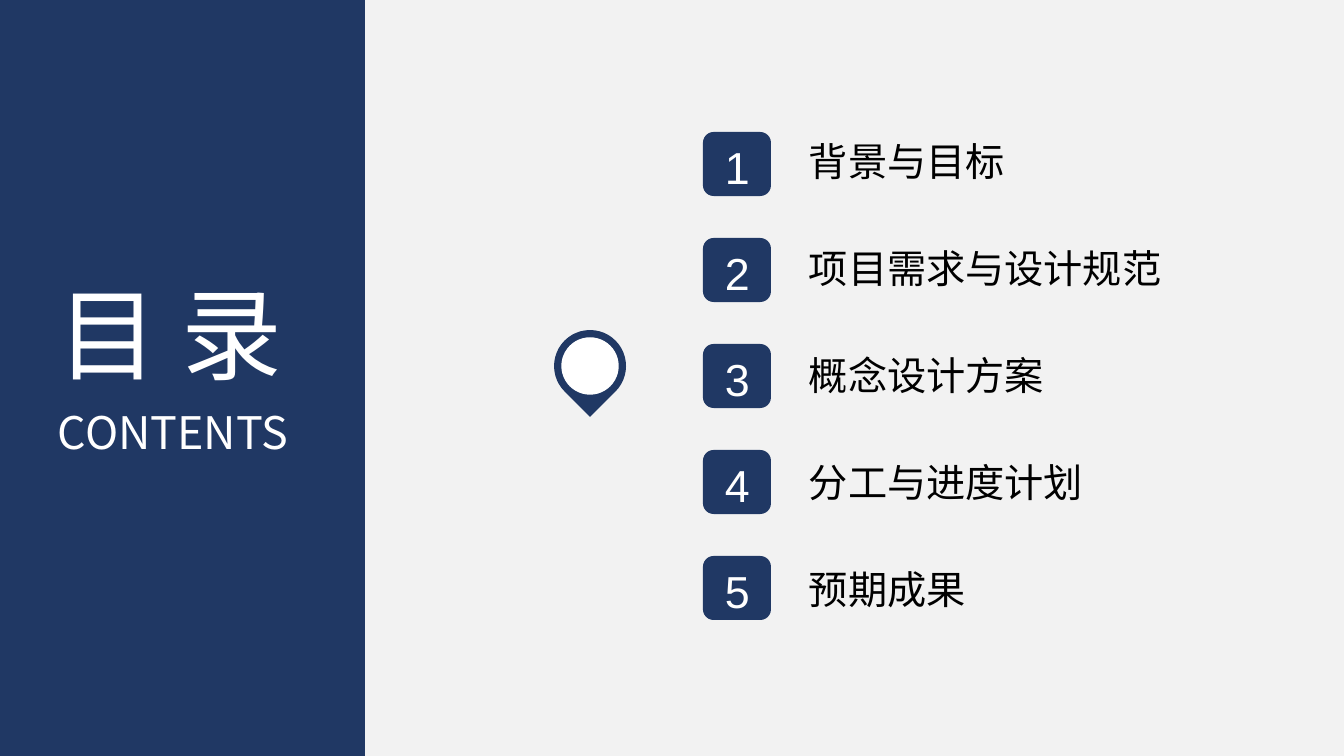
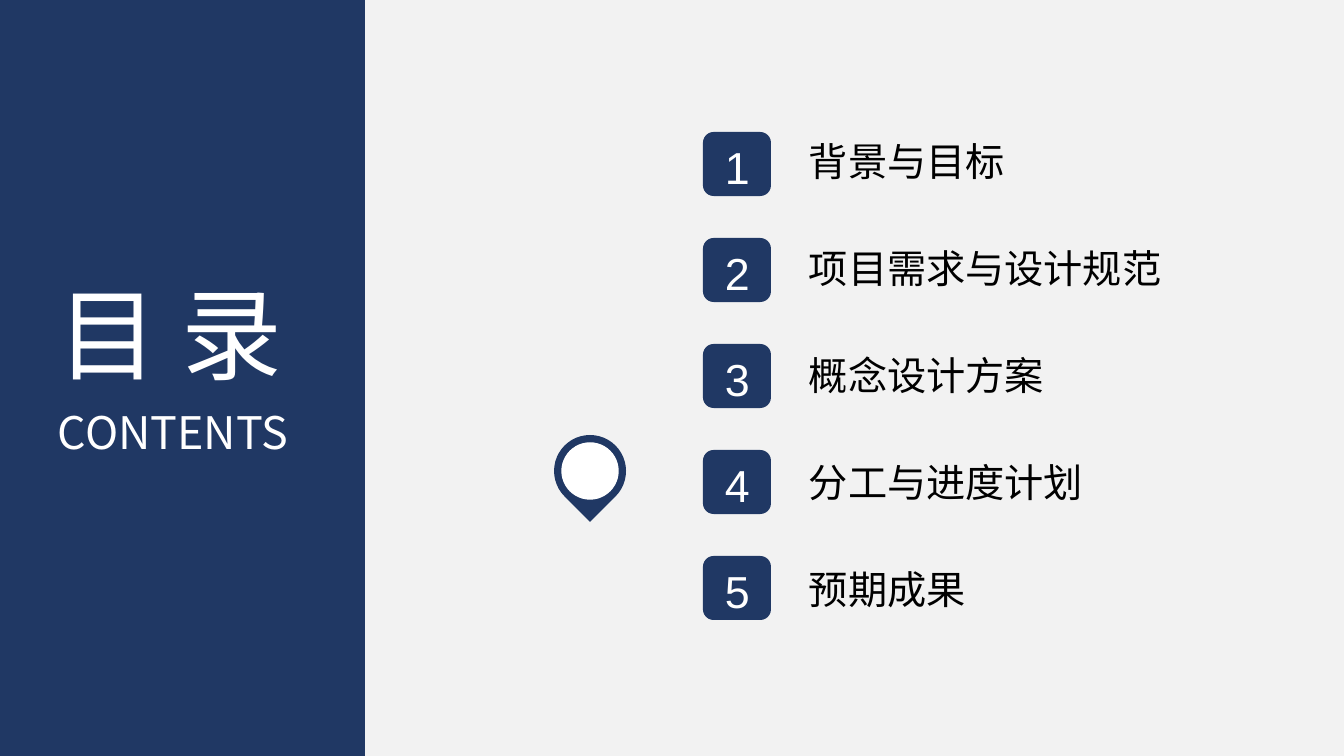
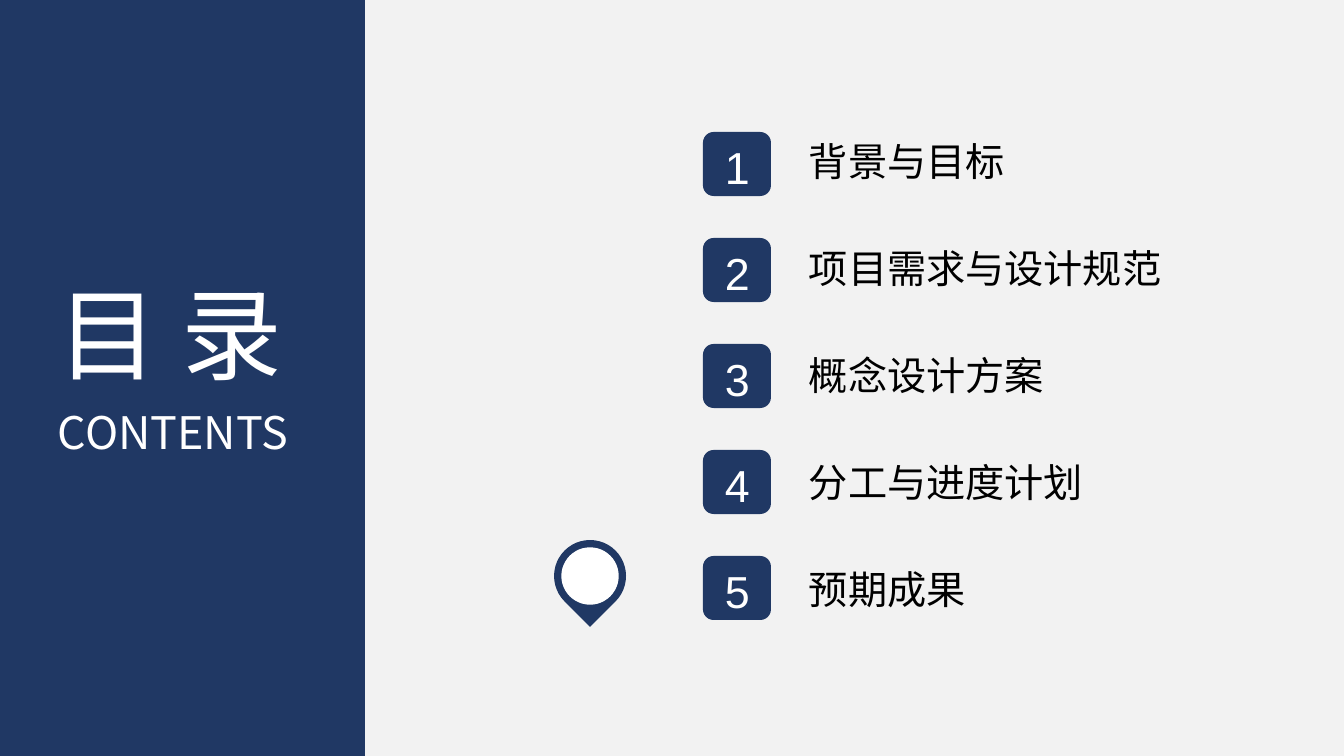
from dataclasses import dataclass

from lxml import etree
from pptx import Presentation
from pptx.dml.color import RGBColor
from pptx.enum.shapes import MSO_SHAPE
from pptx.enum.text import MSO_AUTO_SIZE, PP_ALIGN
from pptx.oxml.ns import qn
from pptx.util import Emu, Pt

RECT = MSO_SHAPE.RECTANGLE
ROUNDED = MSO_SHAPE.ROUNDED_RECTANGLE
TEARDROP = MSO_SHAPE.TEAR
OVAL = MSO_SHAPE.OVAL
JUSTIFY = PP_ALIGN.JUSTIFY
LEFT = PP_ALIGN.LEFT
FIT_SHAPE = MSO_AUTO_SIZE.SHAPE_TO_FIT_TEXT

SLIDE_W, SLIDE_H = 1344, 756
EMU_PER_PX = 12192000 / SLIDE_W

NAVY, WHITE, BLACK, PAPER = "203864", "FFFFFF", "000000", "F2F2F2"
CJK, LATIN = "Noto Sans CJK SC", "Arial"

CHAPTERS = ["背景与目标", "项目需求与设计规范", "概念设计方案", "分工与进度计划", "预期成果"]
CURRENT_CHAPTERS = [3, 4, 5]

BAND_W = 365
FIRST_ROW_TOP = 132
BADGE_PITCH, LABEL_PITCH, PIN_PITCH = 106, 107, 105
BADGE_LEFT, BADGE_W, BADGE_H = 703, 68, 64
LABEL_LEFT, LABEL_W, LABEL_H = 799, 500, 57
FIRST_PIN_TOP = 120
PIN_LEFT, PIN_SIZE, PIN_RIM = 554, 72, 8


@dataclass(frozen=True)
class Box:
    left: int
    top: int
    width: int
    height: int

    def emu(self) -> list[Emu]:
        return [px(n) for n in (self.left, self.top, self.width, self.height)]


@dataclass(frozen=True)
class TextStyle:
    size: int
    font: str
    color: str
    align: PP_ALIGN = LEFT


TITLE = TextStyle(72, CJK, WHITE, JUSTIFY)
SUBTITLE = TextStyle(32, CJK, WHITE, JUSTIFY)
NUMBER = TextStyle(32, LATIN, WHITE)
LABEL = TextStyle(28, CJK, BLACK)


def px(length: int) -> Emu:
    return Emu(round(length * EMU_PER_PX))


def rgb(color: str) -> RGBColor:
    return RGBColor.from_string(color)


def add_solid(shapes, kind, box: Box, fill: str, outline: str | None = None):
    """Add a flat preset shape, with a one-point outline if a colour is given."""
    solid = shapes.add_shape(kind, *box.emu())
    solid.shadow.inherit = False
    solid.fill.solid()
    solid.fill.fore_color.rgb = rgb(fill)
    if outline:
        solid.line.color.rgb = rgb(outline)
        solid.line.width = Pt(1)
    else:
        solid.line.fill.background()
    return solid


def add_text(shapes, box: Box, text: str, style: TextStyle) -> None:
    frame = shapes.add_textbox(*box.emu()).text_frame
    for name, value in {"word_wrap": True, "auto_size": FIT_SHAPE}.items():
        setattr(frame, name, value)
    paragraph = frame.paragraphs[0]
    paragraph.alignment = style.align
    run = paragraph.add_run()
    run.text = text
    for name, value in {"size": Pt(style.size), "name": style.font}.items():
        setattr(run.font, name, value)
    run.font.color.rgb = rgb(style.color)
    east_asian = etree.SubElement(run._r.get_or_add_rPr(), qn("a:ea"))
    east_asian.set("typeface", style.font)


def set_up_master(master, slide) -> None:
    """Put the background and the left band on the master; slide only hosts the band's creation."""
    background = master.background.fill
    background.solid()
    background.fore_color.rgb = rgb(PAPER)
    band = add_solid(slide.shapes, RECT, Box(0, 0, BAND_W, SLIDE_H), NAVY)
    master.shapes._spTree.insert(2, band._element)


def add_heading(slide) -> None:
    heading = slide.shapes.add_group_shape().shapes
    add_text(heading, Box(48, 267, 268, 132), "目 录", TITLE)
    add_text(heading, Box(48, 400, 296, 65), "CONTENTS", SUBTITLE)


def add_chapter(slide, index: int, title: str) -> None:
    badge_top = FIRST_ROW_TOP + index * BADGE_PITCH
    badge = slide.shapes.add_group_shape().shapes
    add_solid(badge, ROUNDED, Box(BADGE_LEFT, badge_top, BADGE_W, BADGE_H), NAVY)
    add_text(badge, Box(BADGE_LEFT + 12, badge_top + 3, 42, 65), str(index + 1), NUMBER)
    label_top = FIRST_ROW_TOP + index * LABEL_PITCH
    add_text(slide.shapes, Box(LABEL_LEFT, label_top, LABEL_W, LABEL_H), title, LABEL)


def add_pin(slide, chapter: int) -> None:
    """Mark the current chapter with a map pin."""
    top = FIRST_PIN_TOP + (chapter - 1) * PIN_PITCH
    hole = PIN_SIZE - 2 * PIN_RIM
    pin = slide.shapes.add_group_shape().shapes
    drop = add_solid(pin, TEARDROP, Box(PIN_LEFT, top, PIN_SIZE, PIN_SIZE), NAVY)
    drop.rotation = 135
    add_solid(pin, OVAL, Box(PIN_LEFT + PIN_RIM, top + PIN_RIM, hole, hole), WHITE, WHITE)


def main() -> None:
    deck = Presentation()
    deck.slide_width, deck.slide_height = px(SLIDE_W), px(SLIDE_H)
    blank = deck.slide_layouts[6]
    slides = [deck.slides.add_slide(blank) for _ in CURRENT_CHAPTERS]
    set_up_master(deck.slide_master, slides[0])
    for slide, chapter in zip(slides, CURRENT_CHAPTERS):
        add_heading(slide)
        for index, title in enumerate(CHAPTERS):
            add_chapter(slide, index, title)
        add_pin(slide, chapter)
    deck.save("out.pptx")


if __name__ == "__main__":
    main()
